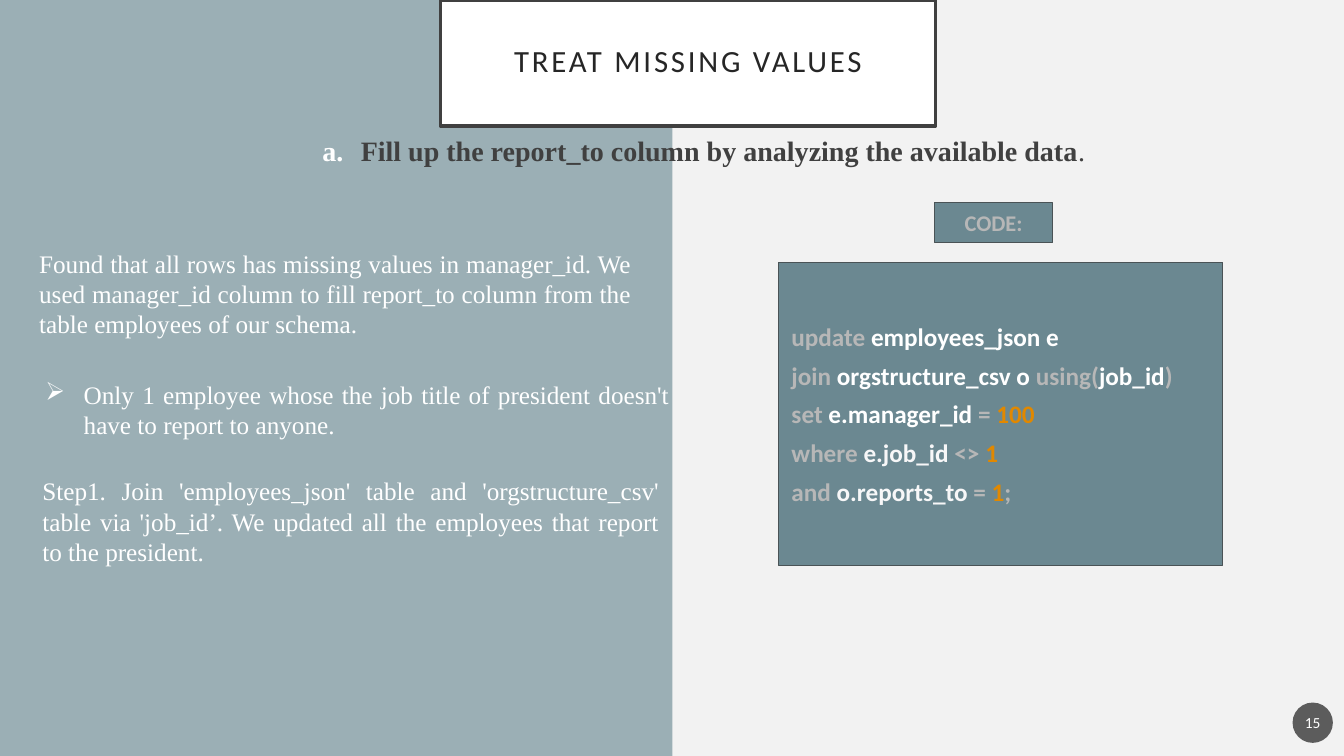
from lxml.etree import SubElement
from pptx import Presentation
from pptx.dml.color import RGBColor
from pptx.enum.shapes import MSO_SHAPE
from pptx.enum.text import MSO_ANCHOR, MSO_AUTO_SIZE, PP_ALIGN
from pptx.oxml.ns import qn
from pptx.util import Inches, Pt

COLORS = {
    "background": "F2F2F2", "panel": "9BAFB5", "white": "FFFFFF", "frame": "404040",
    "title": "262626", "teal": "6B8891", "edge": "4A5356", "badge": "1D1D1D",
    "keyword": "B7B7B7", "field": "F7F7F8", "number": "E18800",
}
SERIF, SANS = "Times New Roman", "Calibri"


def rgb(name):
    return RGBColor.from_string(COLORS[name])


def add_marker(p, tag, attribute, value, color):
    """Give the paragraph a hanging bullet or number."""
    pPr = p._p.get_or_add_pPr()
    pPr.set("marL", str(Inches(0.38)))
    pPr.set("indent", str(Inches(-0.38)))
    SubElement(SubElement(pPr, qn("a:buClr")), qn("a:srgbClr")).set("val", COLORS[color])
    SubElement(pPr, qn(tag)).set(attribute, value)


def write(tf, paragraphs, font=SERIF, size=18, bold=False, align=PP_ALIGN.LEFT,
          anchor=MSO_ANCHOR.TOP, insets=(0.1, 0.05), before=0, after=0,
          line_spacing=None, marker=None):
    """Fill a frame; each paragraph is a list of (text, colour[, bold]) runs."""
    tf.word_wrap = True
    tf.auto_size = MSO_AUTO_SIZE.NONE
    tf.vertical_anchor = anchor
    tf.margin_left = tf.margin_right = Inches(insets[0])
    tf.margin_top = tf.margin_bottom = Inches(insets[1])
    for i, runs in enumerate(paragraphs):
        p = tf.add_paragraph() if i else tf.paragraphs[0]
        p.alignment = align
        p.space_before, p.space_after = Pt(before), Pt(after)
        if line_spacing:
            p.line_spacing = line_spacing
        if marker:
            add_marker(p, *marker)
        for text, color, *weight in runs:
            r = p.add_run()
            r.text = text
            r.font.name, r.font.size = font, Pt(size)
            r.font.bold = weight[0] if weight else bold
            r.font.color.rgb = rgb(color)


class SlideBuilder:
    def __init__(self, prs):
        self.slide = prs.slides.add_slide(prs.slide_layouts[5])
        self.slide.background.fill.solid()
        self.slide.background.fill.fore_color.rgb = rgb("background")

    def paint(self, sp, fill, line=None, width=0.75):
        sp.fill.solid()
        sp.fill.fore_color.rgb = rgb(fill)
        if line:
            sp.line.color.rgb = rgb(line)
            sp.line.width = Pt(width)
        else:
            sp.line.fill.background()

    def title(self, text, box):
        sp = self.slide.shapes.title
        sp.left, sp.top, sp.width, sp.height = map(Inches, box)
        self.paint(sp, "white", "frame", 2.5)
        write(sp.text_frame, [[(text, "title")]], font=SANS, size=22, line_spacing=0.9,
              align=PP_ALIGN.CENTER, anchor=MSO_ANCHOR.MIDDLE, insets=(0.2, 0.2))
        sp.text_frame.paragraphs[0].runs[0].font._element.set("spc", "200")

    def shape(self, box, fill, line=None, kind=MSO_SHAPE.RECTANGLE, paragraphs=(), **style):
        sp = self.slide.shapes.add_shape(kind, *map(Inches, box))
        sp.shadow.inherit = False
        self.paint(sp, fill, line)
        write(sp.text_frame, paragraphs, font=SANS, anchor=MSO_ANCHOR.MIDDLE, **style)
        return sp

    def text(self, box, runs, **style):
        sp = self.slide.shapes.add_textbox(*map(Inches, box))
        write(sp.text_frame, [runs], **style)

    def send_to_back(self, sp):
        self.slide.shapes._spTree.insert(2, sp._element)


def main():
    prs = Presentation()
    prs.slide_width, prs.slide_height = Inches(13.33), Inches(7.5)
    s = SlideBuilder(prs)

    s.send_to_back(s.shape((0, 0, 6.67, 7.5), "panel"))
    s.title("TREAT MISSING VALUES", (4.37, 0, 4.91, 1.25))

    s.text((3.1, 1.28, 7.79, 0.44),
           [("Fill up the report_to column by analyzing the available data", "frame"),
            (".", "frame", False)],
           size=20, bold=True, before=10,
           marker=("a:buAutoNum", "type", "alphaLcPeriod", "white"))

    body = {"align": PP_ALIGN.JUSTIFY, "after": 6}
    padded = {**body, "insets": (0.13, 0.13)}
    s.text((0.29, 2.41, 6.07, 1.01),
           [("Found that all rows has missing values in manager_id. We used manager_id "
             "column to fill report_to column from the table employees of our schema.",
             "white")], **body)
    s.text((0.29, 4.59, 6.38, 1.26),
           [("Step1. Join 'employees_json' table and 'orgstructure_csv' table via 'job_id’. "
             "We updated all the employees that report to the president.", "white")], **padded)
    s.text((0.32, 3.63, 6.45, 0.96),
           [("Only 1 employee whose the job title of president doesn't have to report "
             "to anyone.", "white")],
           marker=("a:buChar", "char", "➢", "white"), **padded)

    code = [
        [("update ", "keyword"), ("employees_json e", "white")],
        [("join ", "keyword"), ("orgstructure_csv o", "white"), (" using(", "keyword"),
         ("job_id", "white"), (")", "keyword")],
        [("set ", "keyword"), ("e.manager_id", "white"), (" = ", "keyword"),
         ("100", "number")],
        [("where ", "keyword"), ("e.job_id", "field"), (" <> ", "keyword"), ("1", "number")],
        [("and ", "keyword"), ("o.reports_to", "field"), (" = ", "keyword"),
         ("1", "number"), (";", "keyword")],
    ]
    s.shape((7.72, 2.6, 4.41, 3.01), "teal", "edge", paragraphs=code, bold=True,
            after=6, insets=(0.13, 0.13))

    badge = s.shape((12.82, 6.97, 0.4, 0.4), "badge", kind=MSO_SHAPE.OVAL,
                    paragraphs=[[("15", "white")]], size=11,
                    align=PP_ALIGN.CENTER, insets=(0.02, 0.05))
    badge_color = badge._element.spPr.find(qn("a:solidFill")).find(qn("a:srgbClr"))
    SubElement(badge_color, qn("a:alpha")).set("val", "70000")

    s.shape((9.27, 2.01, 1.17, 0.4), "teal", "edge", paragraphs=[[("CODE:", "keyword")]],
            size=16, bold=True, align=PP_ALIGN.CENTER, insets=(0.1, 0.1))

    prs.save("out.pptx")


if __name__ == "__main__":
    main()
